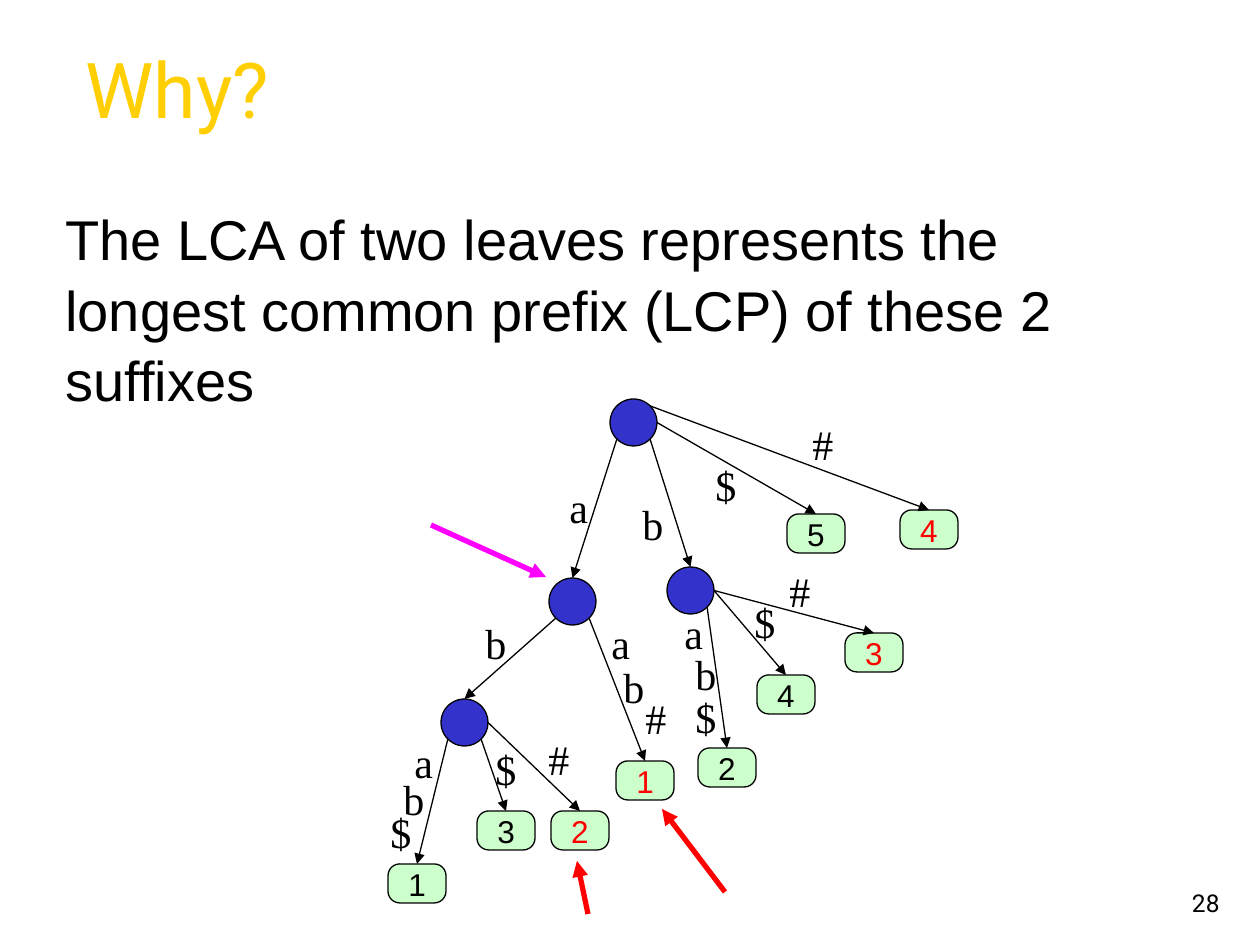
from math import cos, radians, sin

from lxml import etree
from pptx import Presentation
from pptx import util as u
from pptx.dml.color import RGBColor
from pptx.enum import shapes, text
from pptx.oxml.ns import qn

BLACK = RGBColor(0x00, 0x00, 0x00)
RED = RGBColor(0xFF, 0x00, 0x00)
MAGENTA = RGBColor(0xFF, 0x00, 0xFF)
YELLOW = RGBColor(0xFF, 0xCF, 0x01)
NODE_BLUE = RGBColor(0x33, 0x33, 0xCC)
LEAF_GREEN = RGBColor(0xCC, 0xFF, 0xCC)

SCALE = u.Inches(1) / 126
NODE = 47
LEAF_W, LEAF_H = 58, 39

TITLE = dict(name="Roboto", size=u.Pt(44))
BODY = dict(name="Arial", size=u.Pt(32))
LEAF = dict(name="Arial", size=u.Pt(18))
EDGE = dict(name="Times New Roman", size=u.Pt(24))
NUMBER = dict(name="Roboto", size=u.Pt(14))


def write(holder, words, font, color=BLACK, align=text.PP_ALIGN.LEFT,
          anchor=text.MSO_ANCHOR.TOP, wrap=True, spacing=1.0):
    frame = holder.text_frame
    frame.text = words
    frame.word_wrap = wrap
    frame.vertical_anchor = anchor
    paragraph = frame.paragraphs[0]
    paragraph.alignment = align
    paragraph.line_spacing = spacing
    for key, value in font.items():
        setattr(paragraph.font, key, value)
    paragraph.font.color.rgb = color


def arrow(start, end, color=BLACK, width=0.75):
    line = slide.shapes.add_connector(
        shapes.MSO_CONNECTOR.STRAIGHT, *[round(v * SCALE) for v in (*start, *end)])
    line.line.color.rgb = color
    line.line.width = u.Pt(width)
    properties = line._element.spPr
    etree.SubElement(properties.find(qn("a:ln")), qn("a:tailEnd"), type="triangle")
    etree.SubElement(properties, qn("a:effectLst"))
    return line


prs = Presentation()
prs.slide_width, prs.slide_height = u.Inches(10), u.Inches(7.5)
slide = prs.slides.add_slide(prs.slide_layouts[5])

# Title
title = slide.shapes.title
title_box = dict(left=73, top=29, width=1144, height=117)
for side, px in title_box.items():
    setattr(title, side, round(px * SCALE))
write(title, "Why?", TITLE, YELLOW, anchor=text.MSO_ANCHOR.MIDDLE)

# Statement
statement = slide.shapes.add_textbox(*[round(v * SCALE) for v in (53, 195, 1155, 214)])
write(statement, "The LCA of two leaves represents the longest common prefix (LCP) "
      "of these 2 suffixes", BODY, spacing=1.05)

# Inner nodes, named by the path label that leads to them
node_places = {"root": (610, 399), "a": (549, 578), "b": (667, 567), "ab": (441, 699)}
tree = {}
for name, (x, y) in node_places.items():
    node = slide.shapes.add_shape(
        shapes.MSO_SHAPE.OVAL, *[round(v * SCALE) for v in (x, y, NODE, NODE)])
    node.shadow.inherit = False
    node.fill.solid()
    node.fill.fore_color.rgb = NODE_BLUE
    node.line.color.rgb = BLACK
    node.line.width = u.Pt(0.75)
    tree[name] = node

# Leaves: suffix, start position, colour of the string it belongs to
leaves = [
    ("abab$", 388, 864, "1", BLACK),
    ("ab$", 477, 811, "3", BLACK),
    ("ab#", 551, 811, "2", RED),
    ("aab#", 616, 761, "1", RED),
    ("bab$", 698, 748, "2", BLACK),
    ("b$", 757, 675, "4", BLACK),
    ("b#", 845, 633, "3", RED),
    ("$", 787, 514, "5", BLACK),
    ("#", 900, 510, "4", RED),
]
for suffix, x, y, position, color in leaves:
    leaf = slide.shapes.add_shape(
        shapes.MSO_SHAPE.ROUNDED_RECTANGLE,
        *[round(v * SCALE) for v in (x, y, LEAF_W, LEAF_H)])
    leaf.adjustments[0] = 0.3
    leaf.shadow.inherit = False
    leaf.fill.solid()
    leaf.fill.fore_color.rgb = LEAF_GREEN
    leaf.line.color.rgb = BLACK
    leaf.line.width = u.Pt(0.75)
    write(leaf, position, LEAF, color, text.PP_ALIGN.CENTER,
          text.MSO_ANCHOR.MIDDLE, wrap=False)
    tree[suffix] = leaf

# Edges: parent, angle at which the edge leaves it (clockwise from right), child
edges = [
    ("root", 135, "a"), ("root", 45, "b"), ("root", 0, "$"), ("root", -45, "#"),
    ("a", 135, "ab"), ("a", 45, "aab#"),
    ("b", 45, "bab$"), ("b", 0, "b$"), ("b", 0, "b#"),
    ("ab", 135, "abab$"), ("ab", 45, "ab$"), ("ab", 0, "ab#"),
]
for parent, angle, child in edges:
    x, y = node_places[parent]
    start = (x + NODE / 2 * (1 + cos(radians(angle))),
             y + NODE / 2 * (1 + sin(radians(angle))))
    arrow(start, start).end_connect(tree[child], 0)

# Edge letters
letters = [
    ("a", 557, 473), ("b", 630, 490), ("$", 703, 451), ("#", 800, 410),
    ("b", 473, 609), ("a", 599, 609), ("b", 611, 653), ("#", 633, 684),
    ("a", 672, 599), ("b", 683, 640), ("$", 683, 683), ("$", 742, 588), ("#", 777, 557),
    ("a", 402, 728), ("b", 391, 765), ("$", 378, 798), ("$", 483, 735), ("#", 536, 725),
]
for letter, x, y in letters:
    label = slide.shapes.add_textbox(*[round(v * SCALE) for v in (x, y, 53, 63)])
    write(label, letter, EDGE, spacing=1.05)

# Pointers to the two leaves and to their LCA
for start, end, color in [
    ((725, 892), (662, 809), RED),
    ((588, 914), (577, 861), RED),
    ((431, 525), (546, 577), MAGENTA),
]:
    arrow(start, end, color, 3)

# Slide number
number = slide.shapes.add_textbox(*[round(v * SCALE) for v in (970, 861, 262, 63)])
write(number, "28", NUMBER, align=text.PP_ALIGN.RIGHT, anchor=text.MSO_ANCHOR.BOTTOM)

prs.save("out.pptx")
